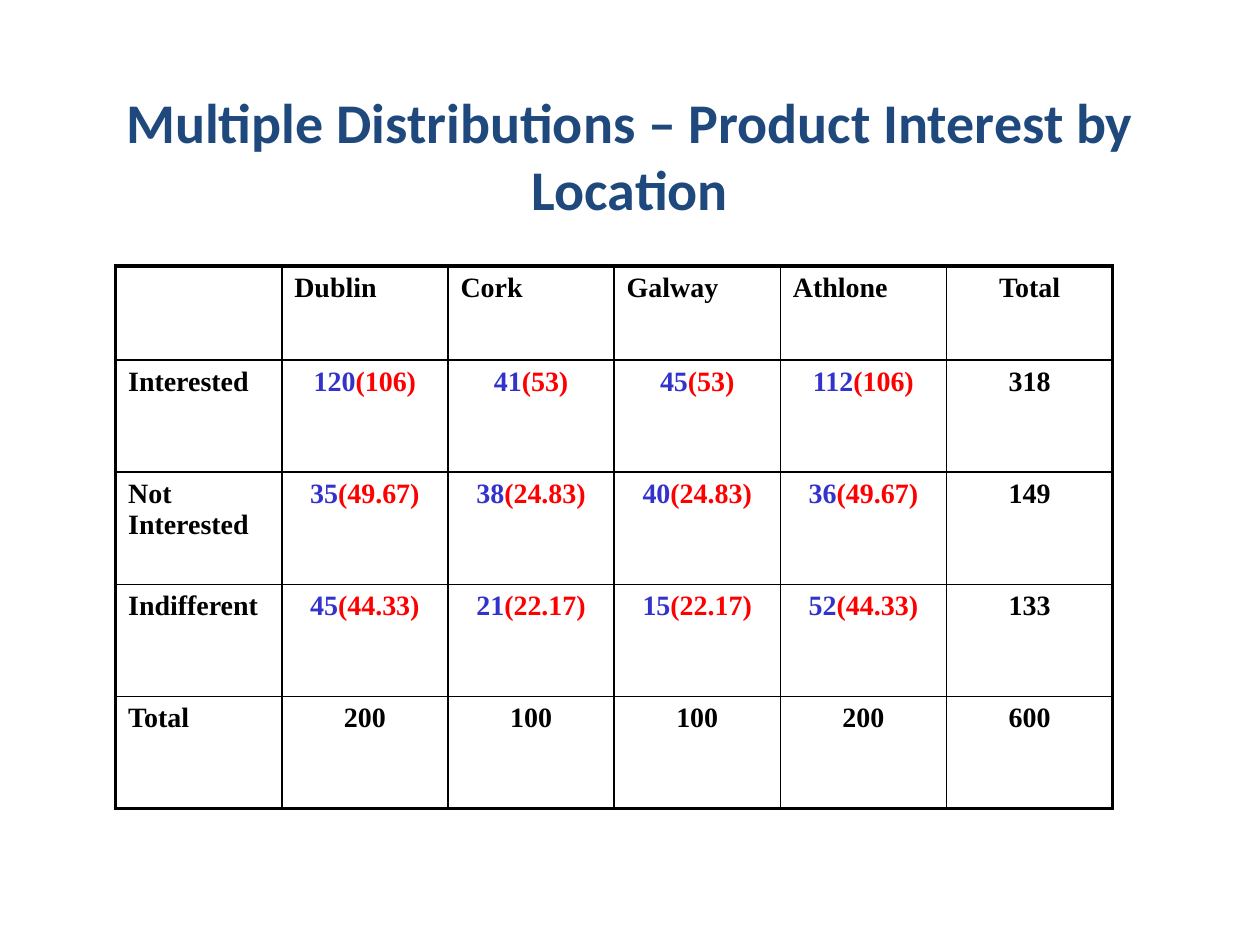
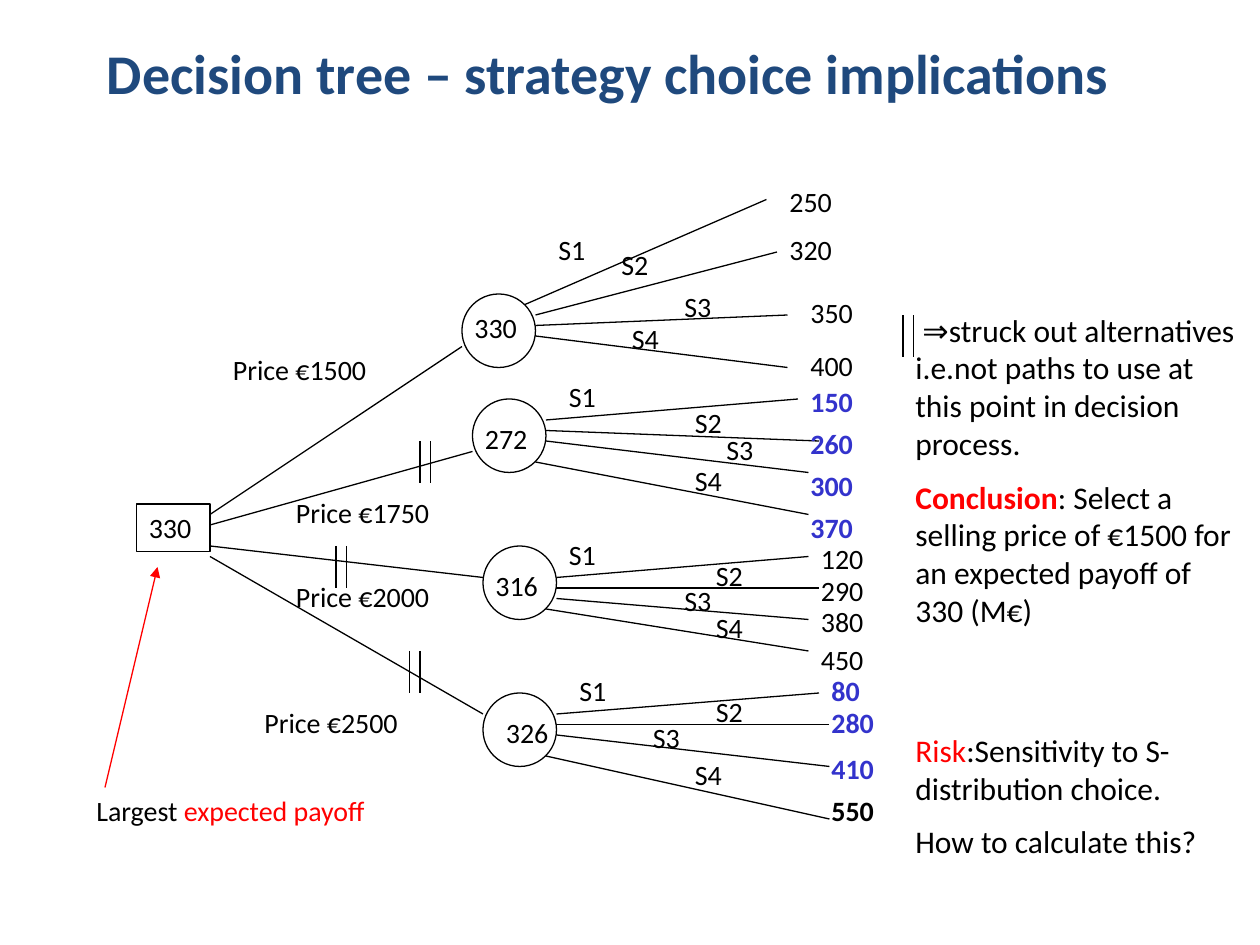
import lxml.etree
import pptx
import pptx.dml.color
import pptx.enum.shapes
import pptx.enum.text
import pptx.oxml.ns
import pptx.util

BLACK, BLUE, RED, NAVY = "000000", "3333CC", "FF0000", "1F497D"
ALIGN = pptx.enum.text.PP_ALIGN
ANCHOR = pptx.enum.text.MSO_ANCHOR
SHAPE = pptx.enum.shapes.MSO_SHAPE
TITLE_ONLY = 5

# City counts as observed, with the expected count in brackets
CITIES = ["Dublin", "Cork", "Galway", "Athlone"]
INTEREST = [
    ("Interested", ["120(106)", "41(53)", "45(53)", "112(106)"], "318"),
    ("Not Interested", ["35(49.67)", "38(24.83)", "40(24.83)", "36(49.67)"], "149"),
    ("Indifferent", ["45(44.33)", "21(22.17)", "15(22.17)", "52(44.33)"], "133"),
]
TOTALS = ["200", "100", "100", "200", "600"]

# Tree places are in grid steps: node, price and strike from the tree's corner,
# the rest from the node. Each outcome: payoff, line start, line end,
# scenario label place, payoff place.
BRANCHES = [
    dict(price="1500", value="330", node=(36, 11), value_at=(0, 1), leave=32, enter=5,
         price_at=(13, 16), strike=None, colour=BLACK, bold=False, outcomes=[
             ("250", (6, 1), (29, -9), (8, -6.4), (30, -11)),
             ("320", (7, 2), (30, -4), (14, -5), (30, -6.4)),
             ("350", (7, 3), (31, 2), (20, -1), (32, -0.4)),
             ("400", (7, 4), (31, 7), (15, 2), (32, 4.6))]),
    dict(price="1750", value="272", node=(37, 21), value_at=(0, 1.6), leave=33, enter=5,
         price_at=(19, 29.6), strike=(32, 25), colour=BLUE, bold=True, outcomes=[
             ("150", (7, 2), (31, 0), (8, -2.4), (31, -2)),
             ("260", (7, 3), (33, 4), (20, 0), (31, 2)),
             ("300", (7, 4), (32, 7), (23, 2.6), (31, 6)),
             ("370", (6, 6), (32, 11), (20, 5.6), (31, 10))]),
    dict(price="2000", value="316", node=(38, 35), value_at=(0, 1.6), leave=35, enter=3,
         price_at=(19, 37.6), strike=(24, 35), colour=BLACK, bold=False, outcomes=[
             ("120", (7, 3), (31, 1), (7, -1.4), (31, -1)),
             ("290", (7, 4), (32, 4), (21, 0.6), (31, 2)),
             ("380", (7, 5), (31, 7), (18, 3), (31, 5)),
             ("450", (6, 6), (31, 10), (21, 5.6), (31, 8.6))]),
    dict(price="2500", value="326", node=(38, 49), value_at=(1, 1.6), leave=36, enter=2,
         price_at=(16, 49.6), strike=(31, 45), colour=BLUE, bold=True, outcomes=[
             ("80", (7, 2), (32, 0), (8, -2.4), (32, -2.4)),
             ("280", (7, 3), (33, 3), (21, -0.4), (32, 0.6)),
             ("410", (7, 4), (33, 7), (15, 2), (32, 5)),
             ("550", (6, 6), (33, 12), (19, 5.6), (32, 9))]),
]
BEST_PAYOFF = "550"


def rgb(colour):
    return pptx.dml.color.RGBColor.from_string(colour)


def grid(*steps):
    """Lengths for steps of a twelfth of an inch."""
    return [pptx.util.Cm(step * 2.54 / 12) for step in steps]


def shift(origin, offset):
    return origin[0] + offset[0], origin[1] + offset[1]


def add_span(para, text, colour=BLACK, bold=False, size=16, font="Calibri"):
    span = para.add_run()
    span.text = text
    span.font.name = font
    span.font.size = pptx.util.Pt(size)
    span.font.bold = bold
    span.font.color.rgb = rgb(colour)


def fill_frame(frame, paras, size):
    frame.word_wrap = True
    for number, spans in enumerate(paras):
        para = frame.add_paragraph() if number else frame.paragraphs[0]
        para.alignment = ALIGN.LEFT
        if number:
            para.space_before = pptx.util.Pt(size / 2)
        for span in spans:
            add_span(para, *span, size=size)


def add_text(slide, place, width, *paras, size=16, height=4.4):
    box = slide.shapes.add_textbox(*grid(*place, width, height))
    fill_frame(box.text_frame, paras, size)


def add_outline(slide, kind, place, width, height):
    shape = slide.shapes.add_shape(kind, *grid(*place, width, height))
    shape.shadow.inherit = False
    shape.fill.background()
    shape.line.color.rgb = rgb(BLACK)
    shape.line.width = pptx.util.Pt(0.75)
    return shape


def add_line(slide, start, end, colour=BLACK, arrow=False):
    line = slide.shapes.add_connector(
        pptx.enum.shapes.MSO_CONNECTOR.STRAIGHT, *grid(*start, *end))
    line.line.color.rgb = rgb(colour)
    line.line.width = pptx.util.Pt(0.75)
    properties = line.line._get_or_add_ln()
    if arrow:
        lxml.etree.SubElement(properties, pptx.oxml.ns.qn("a:tailEnd"), type="triangle")
    lxml.etree.SubElement(properties.getparent(), pptx.oxml.ns.qn("a:effectLst"))


def add_strike(slide, place):
    """Double bar that marks a struck out path."""
    for step in (0, 1):
        top = shift(place, (step, 0))
        add_line(slide, top, shift(top, (0, 4)))


def add_titled_slide(deck, text, top, height, alignment, anchor):
    slide = deck.slides.add_slide(deck.slide_layouts[TITLE_ONLY])
    title = slide.shapes.title
    title.left, title.top = pptx.util.Cm(1.9), pptx.util.Cm(top)
    title.width, title.height = pptx.util.Cm(21.6), pptx.util.Cm(height)
    frame = title.text_frame
    frame.auto_size = pptx.enum.text.MSO_AUTO_SIZE.NONE
    frame.word_wrap = True
    frame.vertical_anchor = anchor
    para = frame.paragraphs[0]
    para.alignment = alignment
    add_span(para, text, NAVY, True, 32)
    return slide


def set_borders(cell, outer_sides):
    properties = cell._tc.get_or_add_tcPr()
    for position, side in enumerate("LRTB"):
        width = pptx.util.Pt(2.25 if side in outer_sides else 1)
        border = lxml.etree.Element(pptx.oxml.ns.qn(f"a:ln{side}"), w=str(int(width)))
        fill = lxml.etree.SubElement(border, pptx.oxml.ns.qn("a:solidFill"))
        lxml.etree.SubElement(fill, pptx.oxml.ns.qn("a:srgbClr"), val=BLACK)
        properties.insert(position, border)


def add_interest_table(slide, left, top, column_width, header_height, row_height):
    rows = [["", *CITIES, "Total"]]
    rows += [[label, *counts, total] for label, counts, total in INTEREST]
    rows.append(["Total", *TOTALS])
    last_row, last_column = len(rows) - 1, len(rows[0]) - 1
    table = slide.shapes.add_table(
        len(rows), len(rows[0]), pptx.util.Cm(left), pptx.util.Cm(top),
        pptx.util.Cm(column_width * len(rows[0])),
        pptx.util.Cm(header_height + row_height * last_row)).table
    table.first_row = table.horz_banding = False
    for column in table.columns:
        column.width = pptx.util.Cm(column_width)
    for r, texts in enumerate(rows):
        table.rows[r].height = pptx.util.Cm(row_height if r else header_height)
        for c, text in enumerate(texts):
            cell = table.cell(r, c)
            cell.fill.background()
            edges = {"L": c == 0, "R": c == last_column, "T": r == 0, "B": r == last_row}
            set_borders(cell, [side for side, outer in edges.items() if outer])
            para = cell.text_frame.paragraphs[0]
            centred = c == last_column or (r and c)
            para.alignment = ALIGN.CENTER if centred else ALIGN.LEFT
            observed, bracket, expected = text.partition("(")
            if bracket:
                spans = [(observed, BLUE), (bracket + expected, RED)]
            else:
                spans = [(text, BLACK)] if text else []
            for words, colour in spans:
                add_span(para, words, colour, True, font="Times New Roman")


def add_branch(slide, corner, branch):
    node = shift(corner, branch["node"])
    add_line(slide, shift(corner, (12, branch["leave"])), shift(node, (0, branch["enter"])))
    add_outline(slide, SHAPE.OVAL, node, 7, 7)
    add_text(slide, shift(node, branch["value_at"]), 8, [(branch["value"],)])
    add_text(slide, shift(corner, branch["price_at"]), 16, [("Price €" + branch["price"],)])
    if branch["strike"]:
        add_strike(slide, shift(corner, branch["strike"]))
    for number, outcome in enumerate(branch["outcomes"], 1):
        payoff, start, end, scenario_at, payoff_at = outcome
        colour = BLACK if payoff == BEST_PAYOFF else branch["colour"]
        add_line(slide, shift(node, start), shift(node, end))
        add_text(slide, shift(node, scenario_at), 8, [(f"S{number}",)])
        add_text(slide, shift(node, payoff_at), 9, [(payoff, colour, branch["bold"])])


def add_tree(slide, corner):
    root = add_outline(slide, SHAPE.RECTANGLE, shift(corner, (5, 31)), 7, 4.5)
    root.text_frame.vertical_anchor = ANCHOR.TOP
    fill_frame(root.text_frame, [[("330",)]], 16)
    for branch in BRANCHES:
        add_branch(slide, corner, branch)
    add_text(slide, shift(corner, (0, 58)), 36, [("Largest ",), ("expected payoff", RED)])
    add_line(slide, shift(corner, (2, 58)), shift(corner, (7, 37)), RED, arrow=True)


def add_notes_column(slide, corner):
    """Reading key, conclusion and risk beside the tree."""
    add_text(
        slide, corner, 33,
        [(" ⇒struck out alternatives i.e.not paths to use at this point in decision process.",)],
        [("Conclusion", RED, True),
         (": Select a selling price of €1500 for an expected payoff of 330 (M€)",)],
        size=18, height=32.2)
    add_strike(slide, shift(corner, (0, 1)))
    add_text(
        slide, shift(corner, (0, 40)), 31,
        [("Risk", RED), (":Sensitivity to S-distribution choice.",)],
        [("How to calculate this?",)],
        size=18, height=13.8)


def main():
    deck = pptx.Presentation()
    deck.slide_width, deck.slide_height = pptx.util.Cm(25.4), pptx.util.Cm(19.05)

    slide = add_titled_slide(deck, "Multiple Distributions – Product Interest by Location",
                             1.52, 3.18, ALIGN.CENTER, ANCHOR.MIDDLE)
    add_interest_table(slide, 2.33, 5.36, 3.35, 1.9, 2.26)

    slide = add_titled_slide(deck, "Decision tree – strategy choice implications",
                             0.64, 2.74, ALIGN.LEFT, ANCHOR.TOP)
    add_tree(slide, (8, 17))
    add_notes_column(slide, (86, 29))

    deck.save("out.pptx")


if __name__ == "__main__":
    main()
